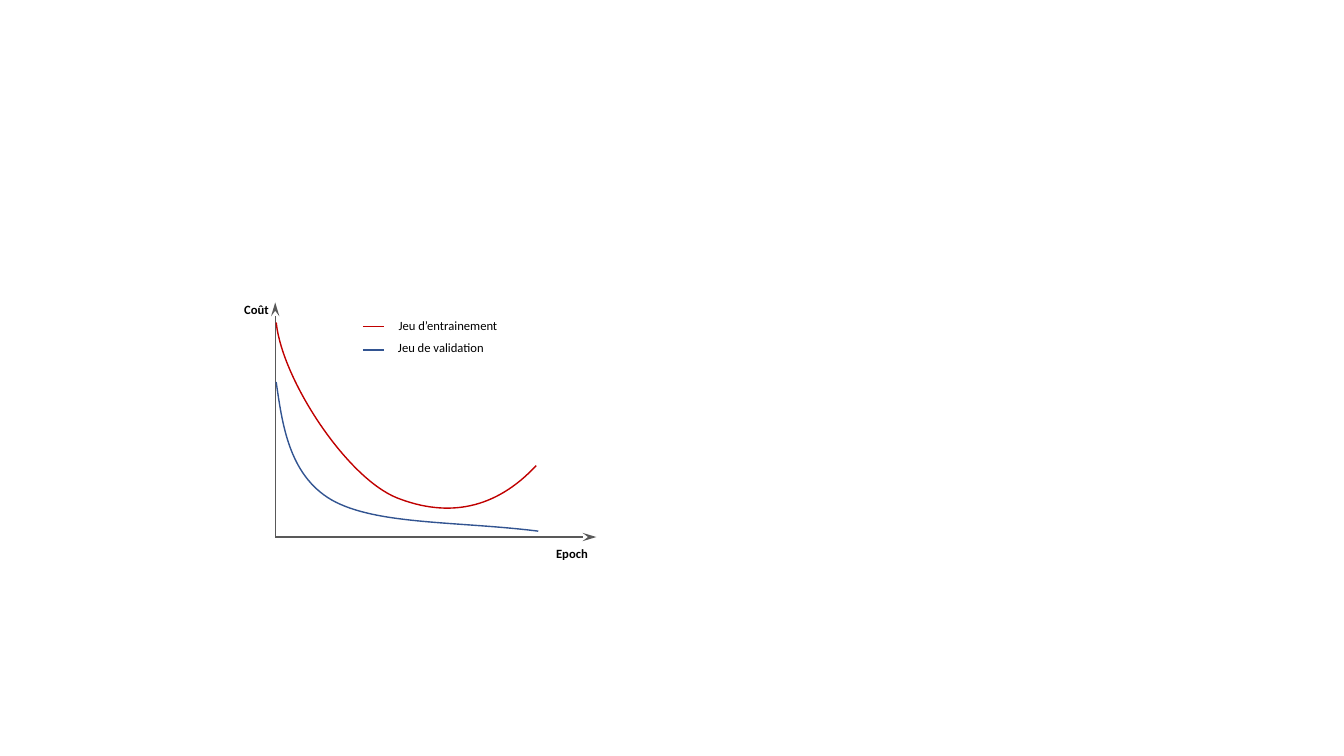
import pptx
import pptx.util
import pptx.dml.color
import pptx.enum.shapes
import pptx.enum.text
import pptx.oxml
import pptx.oxml.ns
import lxml.etree

Pt = pptx.util.Pt
RGB = pptx.dml.color.RGBColor
ALIGN = pptx.enum.text.PP_ALIGN
qn = pptx.oxml.ns.qn

GREY = RGB(0x59, 0x59, 0x59)
BLUE = RGB(0x32, 0x54, 0x91)
RED = RGB(0xC0, 0x00, 0x00)
BLACK = RGB(0x00, 0x00, 0x00)

FONT = "Calibri"
UNIT = 100  # outline units per point
ORIGIN = (196.6, 383.6)


def add_line(slide, start, end, color, arrow=False):
    kind = pptx.enum.shapes.MSO_CONNECTOR.STRAIGHT
    line = slide.shapes.add_connector(kind, *map(Pt, start + end))
    line.line.color.rgb = color
    line.line.width = Pt(1)
    names = pptx.oxml.ns.nsdecls("a")
    if arrow:
        line.line._get_or_add_ln().append(pptx.oxml.parse_xml(
            f"<a:tailEnd {names} type='stealth' w='med' len='lg'/>"))
    line._element.spPr.append(
        pptx.oxml.parse_xml(f"<a:effectLst {names}/>"))


def add_text(slide, text, left, top, width, align=None, bold=None):
    box = slide.shapes.add_textbox(Pt(left), Pt(top), Pt(width), Pt(18))
    frame = box.text_frame
    frame.word_wrap = True
    frame.auto_size = pptx.enum.text.MSO_AUTO_SIZE.SHAPE_TO_FIT_TEXT
    par = frame.paragraphs[0]
    par.text = text
    par.alignment = align
    par.font.name = FONT
    par.font.size = Pt(9)
    par.font.bold = bold
    par.font.color.rgb = BLACK


def add_curve(slide, knots, bottom, color):
    # The first knot is the top left corner of the frame
    left, top = knots[0]
    right = knots[-1][0]
    frame = slide.shapes.build_freeform(
        left * UNIT, top * UNIT, scale=Pt(1) / UNIT)
    frame.add_line_segments([(right * UNIT, bottom * UNIT)], close=False)
    curve = frame.convert_to_shape()

    # Swap the straight segment for Bezier pieces of three knots each
    route = curve._element.find(".//" + qn("a:path"))
    route.remove(route.find(qn("a:lnTo")))
    for i in range(1, len(knots), 3):
        piece = lxml.etree.SubElement(route, qn("a:cubicBezTo"))
        for x, y in knots[i:i + 3]:
            lxml.etree.SubElement(piece, qn("a:pt"),
                                  x=str(round((x - left) * UNIT)),
                                  y=str(round((y - top) * UNIT)))

    curve.shadow.inherit = False
    curve.fill.background()
    curve.line.color.rgb = color
    curve.line.width = Pt(1)


def main():
    deck = pptx.Presentation()
    deck.slide_width, deck.slide_height = Pt(960), Pt(540)
    slide = deck.slides.add_slide(deck.slide_layouts[6])

    # Axes
    add_line(slide, ORIGIN, (ORIGIN[0], 216), GREY, arrow=True)
    add_line(slide, ORIGIN, (426, ORIGIN[1]), GREY, arrow=True)
    add_text(slide, "Coût", 159.4, 212.4, 47.5, ALIGN.CENTER, True)
    add_text(slide, "Epoch", 384.8, 386.6, 47.5, ALIGN.CENTER, True)

    # Cost curves
    add_curve(slide, [(197.3, 272.9), (201.6, 301.7), (205.9, 339.1),
                      (236.9, 357.1), (268.6, 375.1), (326.9, 372.2),
                      (384.5, 379.4)], 379.4, BLUE)
    add_curve(slide, [(197.3, 230.4), (201.6, 271.4), (247.7, 341.3),
                      (283.7, 355.7), (320.4, 370.1), (354.2, 363.6),
                      (383, 332.6)], 362.9, RED)

    # Legend
    for name, color, left, top, mid in (
            ("Jeu d’entrainement", RED, 277.6, 223.2, 233.3),
            ("Jeu de validation", BLUE, 277.2, 239, 250)):
        add_line(slide, (259.2, mid), (274.3, mid), color)
        add_text(slide, name, left, top, 90)

    deck.save("out.pptx")


main()
